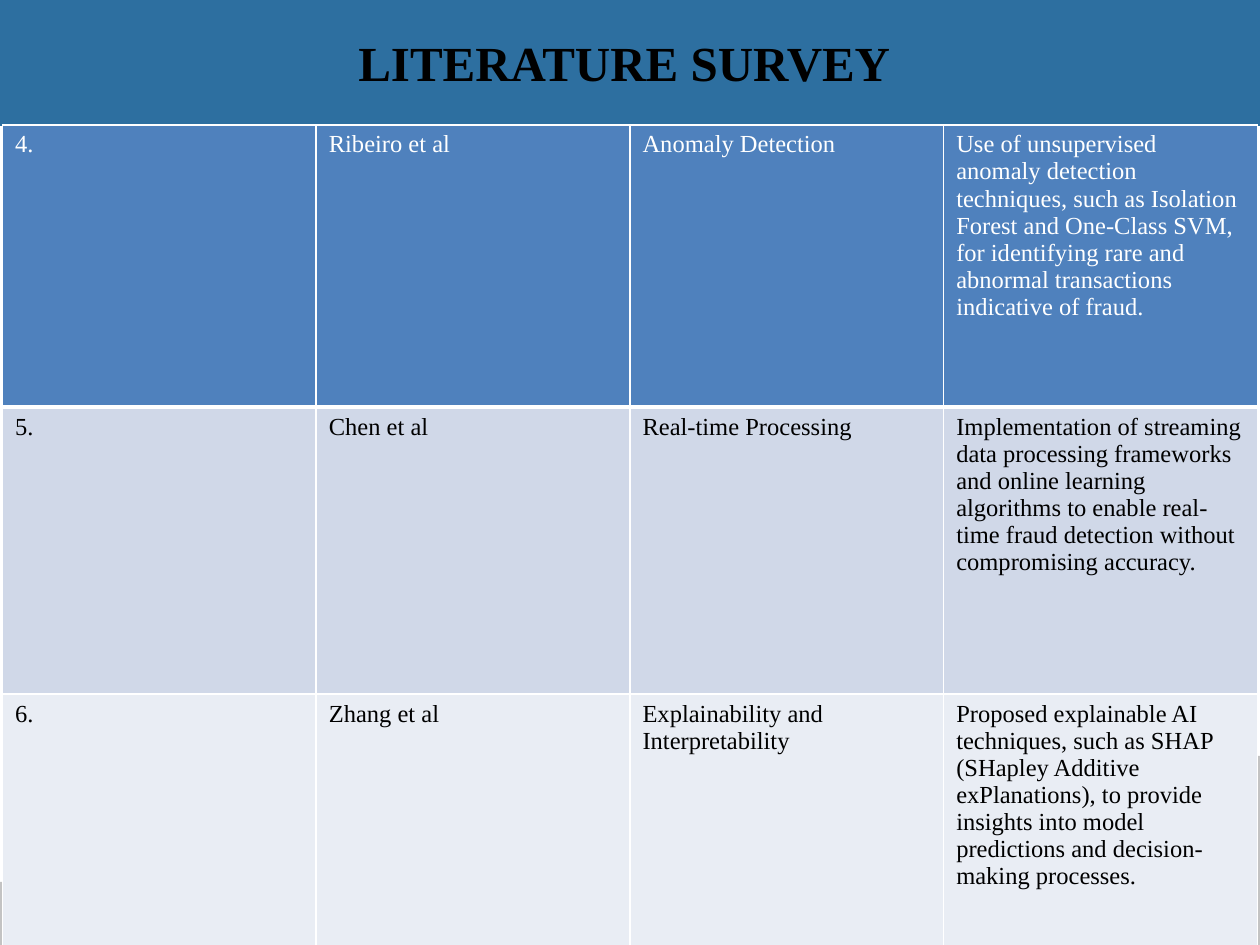
from lxml import etree
from pptx import Presentation
from pptx.dml.color import RGBColor
from pptx.enum.shapes import MSO_SHAPE
from pptx.enum.text import MSO_ANCHOR, PP_ALIGN
from pptx.oxml.ns import qn
from pptx.util import Inches, Pt

RECTANGLE = MSO_SHAPE.RECTANGLE
TOP = MSO_ANCHOR.TOP
CENTER = PP_ALIGN.CENTER
FONT = "Times New Roman"
TITLE_ONLY = 5
COLORS = {
    "band": "2D6FA0", "wave": "7A7A7A", "header": "4F81BD",
    "odd": "D0D8E8", "even": "E9EDF4", "white": "FFFFFF", "black": "000000",
}


def rgb(name):
    return RGBColor.from_string(COLORS[name])


def set_border(cell, side, width):
    line = etree.SubElement(cell._tc.get_or_add_tcPr(), qn(f"a:{side}"), w=str(Pt(width)))
    fill = etree.SubElement(line, qn("a:solidFill"))
    etree.SubElement(fill, qn("a:srgbClr"), val=COLORS["white"])


prs = Presentation()
prs.slide_width, prs.slide_height = Inches(10), Inches(7.5)
slide = prs.slides.add_slide(prs.slide_layouts[TITLE_ONLY])
shapes = slide.shapes

# Translucent wave along the bottom
wave_points = [
    (10, 5.92), (9.72, 6.01), (8.97, 6.24), (8.34, 6.43), (7.8, 6.57),
    (7.35, 6.69), (6.96, 6.78), (6.59, 6.86), (6.23, 6.93), (5.88, 6.99),
    (5.58, 7.04), (5.29, 7.08), (4.95, 7.12), (4.62, 7.15), (4.29, 7.18),
    (3.91, 7.2), (3.53, 7.22), (3.09, 7.23), (2.49, 7.24), (0, 7.19),
    (0, 7.5), (10, 7.5),
]
outline = shapes.build_freeform(*wave_points[0], scale=Inches(1))
outline.add_line_segments(wave_points[1:], close=True)
wave = outline.convert_to_shape()

# Band behind the title
band = shapes.add_shape(RECTANGLE, 0, 0, Inches(10), Inches(1))

for backdrop, color in ((wave, "wave"), (band, "band")):
    backdrop.shadow.inherit = False
    backdrop.fill.solid()
    backdrop.fill.fore_color.rgb = rgb(color)
    backdrop.line.fill.background()
wave_color = wave.fill._xPr.find(f".//{qn('a:srgbClr')}")
etree.SubElement(wave_color, qn("a:alpha"), val="45000")

# Title, brought in front of the band
title = shapes.title
title.element.getparent().append(title.element)
title.left, title.top = Inches(2.74), Inches(0.17)
title.width, title.height = Inches(4.51), Inches(0.88)
title.text_frame.vertical_anchor = TOP
title.text_frame.margin_top = Inches(0.09)
heading = title.text_frame.paragraphs[0]
heading.text = "LITERATURE SURVEY "
heading.alignment = CENTER
heading.font.name, heading.font.size, heading.font.bold = FONT, Pt(28), True
heading.font.color.rgb = rgb("black")

# Survey table: height, fill, text colour, bottom border, cells
survey_rows = [
    (2.24, "header", "white", 3, [
        "4.", "Ribeiro et al", "Anomaly Detection",
        "Use of unsupervised anomaly detection techniques, such as Isolation Forest "
        "and One-Class SVM, for identifying rare and abnormal transactions "
        "indicative of fraud."]),
    (2.28, "odd", "black", 1, [
        "5.", "Chen et al", "Real-time Processing",
        "Implementation of streaming data processing frameworks and online learning "
        "algorithms to enable real-time fraud detection without compromising accuracy."]),
    (3.1, "even", "black", 1, [
        "6.", "Zhang et al", "Explainability and Interpretability",
        "Proposed explainable AI techniques, such as SHAP (SHapley Additive "
        "exPlanations), to provide insights into model predictions and "
        "decision-making processes."]),
]
survey = shapes.add_table(3, 4, Inches(0.02), Inches(0.99), Inches(9.96), Inches(7.62)).table

top_border = 1
for r, (height, fill, ink, bottom_border, entries) in enumerate(survey_rows):
    survey.rows[r].height = Inches(height)
    for c, entry in enumerate(entries):
        cell = survey.cell(r, c)
        cell.text = entry
        font = cell.text_frame.paragraphs[0].font
        font.name, font.size, font.bold = FONT, Pt(14), False
        font.color.rgb = rgb(ink)
        # Borders come before the fill in the cell properties
        for side, width in (("lnL", 1), ("lnR", 1), ("lnT", top_border), ("lnB", bottom_border)):
            set_border(cell, side, width)
        cell.fill.solid()
        cell.fill.fore_color.rgb = rgb(fill)
    top_border = bottom_border

prs.save("out.pptx")
